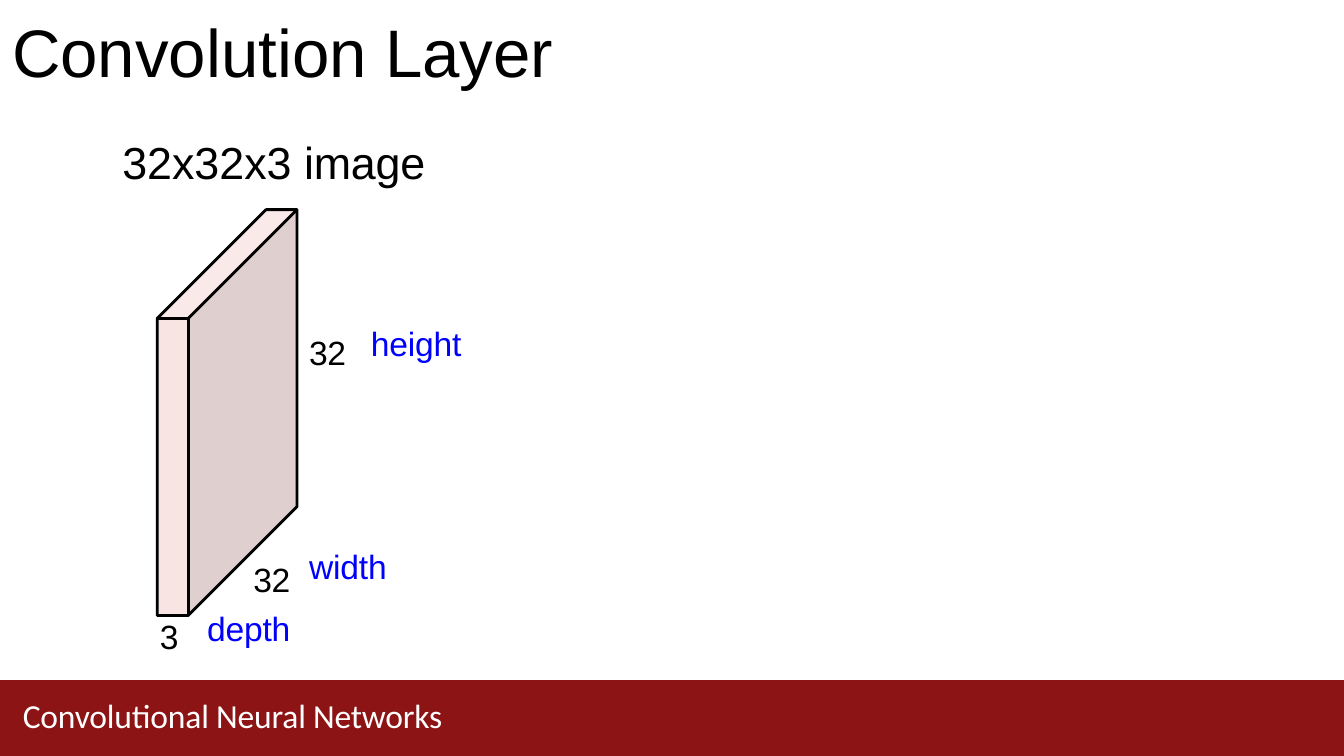
import pptx
import pptx.util
import pptx.dml.color
import pptx.enum.text
import pptx.oxml
import pptx.oxml.ns
from pptx.util import Inches

ALIGN = pptx.enum.text.PP_ALIGN
BLACK, BLUE, WHITE = "000000", "0000FF", "FFFFFF"
WIDTH = 10
HEIGHT = WIDTH * 9 / 16


def color(code):
    return pptx.dml.color.RGBColor.from_string(code)


def trace(shapes, paths):
    def scale(path):
        return [(Inches(x), Inches(y)) for x, y in path]

    first, *rest = map(scale, paths)
    pen = shapes.build_freeform(*first[0], scale=1.0)
    pen.add_line_segments(first[1:], close=True)
    for path in rest:
        pen.move_to(*path[0])
        pen.add_line_segments(path[1:], close=False)
    shape = pen.convert_to_shape()
    shape.shadow.inherit = False
    return shape


def add_face(shapes, points, fill, alpha=None):
    face = trace(shapes, [points])
    face.fill.solid()
    face.fill.fore_color.rgb = color(fill)
    face.line.fill.background()
    if alpha:
        tag = face.fill._xPr.find(".//" + pptx.oxml.ns.qn("a:srgbClr"))
        tag.append(pptx.oxml.parse_xml(
            f'<a:alpha {pptx.oxml.ns.nsdecls("a")} val="{alpha * 1000}"/>'))


def add_edges(shapes, paths):
    edges = trace(shapes, paths)
    edges.fill.background()
    edges.line.color.rgb = color(BLACK)
    edges.line.width = pptx.util.Pt(1.5)


def add_block(slide):
    left, right, top, bottom = 1.17, 1.4, 2.37, 4.58
    shift = 0.81
    low_left, low_right = (left, bottom), (right, bottom)
    top_left, top_right = (left, top), (right, top)
    back_left = (left + shift, top - shift)
    back_right = (right + shift, top - shift)
    back_low = (right + shift, bottom - shift)

    shapes = slide.shapes.add_group_shape().shapes
    add_face(shapes, [low_right, low_left, top_left, top_right], "F4CCCC", 52)
    add_face(shapes, [low_right, top_right, back_right, back_low], "C3A3A3", 52)
    add_face(shapes, [top_right, top_left, back_left, back_right], "F6D6D6", 52)
    add_edges(shapes, [
        [top_left, back_left, back_right, back_low, low_right, low_left],
        [top_left, top_right, back_right],
        [top_right, low_right],
    ])


def set_frame(shape, inset):
    frame = shape.text_frame
    frame.word_wrap = True
    frame.vertical_anchor = pptx.enum.text.MSO_ANCHOR.TOP
    frame.margin_left = frame.margin_right = frame.margin_bottom = 0
    frame.margin_top = Inches(inset)
    return frame


def indent(para):
    para._p.get_or_add_pPr().set("marL", str(Inches(0.01)))


def add_run(para, text, size, code, gap=-0.1, font="Arial"):
    run = para.add_run()
    run.text = text
    run.font.size = pptx.util.Pt(size)
    run.font.name = font
    run.font.color.rgb = color(code)
    if gap:
        run._r.get_or_add_rPr().set("spc", str(round(gap * 100)))


def add_title(slide, start, end):
    title = slide.shapes.title
    title.left, title.top = Inches(0.08), Inches(0.06)
    title.width, title.height = Inches(4.06), Inches(0.63)
    para = set_frame(title, 0.02).paragraphs[0]
    indent(para)
    para.alignment = ALIGN.LEFT
    add_run(para, start, 36, BLACK, 0)
    add_run(para, end, 36, BLACK)


def add_box(slide, box, inset=0.01):
    return set_frame(slide.shapes.add_textbox(*map(Inches, box)), inset)


def add_label(slide, box, text, code=BLACK, gap=-0.1):
    para = add_box(slide, box).paragraphs[0]
    indent(para)
    add_run(para, text, 18, code, gap)


def add_labels(slide):
    add_label(slide, (2.29, 2.46, 0.31, 0.33), "32", gap=-0.2)
    add_label(slide, (1.18, 4.57, 0.17, 0.33), "3", gap=-0.5)
    frame = add_box(slide, (1.51, 4.08, 0.65, 0.76), 0.08)
    side, depth = frame.paragraphs[0], frame.add_paragraph()
    side.alignment = depth.alignment = ALIGN.RIGHT
    depth.space_before = pptx.util.Pt(4.8)
    add_run(side, "32", 18, BLACK, -0.2)
    add_run(depth, "depth", 18, BLUE)

    head = add_box(slide, (0.9, 0.99, 2.29, 0.43)).paragraphs[0]
    indent(head)
    add_run(head, "32x32x3 ", 24, BLACK, 0)
    add_run(head, "image", 24, BLACK)
    add_label(slide, (2.29, 4.05, 0.61, 0.33), "width", BLUE)
    add_label(slide, (2.75, 2.39, 0.71, 0.33), "height", BLUE)


def add_band(slide):
    add_face(slide.shapes, [(WIDTH, 5.06), (0, 5.06), (0, HEIGHT),
                            (WIDTH, HEIGHT)], "8C1414")


def add_footer(slide, text):
    para = add_box(slide, (0.16, 5.18, 5.14, 0.29), 0).paragraphs[0]
    indent(para)
    para.line_spacing = pptx.util.Pt(20.9)
    add_run(para, text, 18, WHITE, font="Calibri")


def main():
    deck = pptx.Presentation()
    deck.slide_width, deck.slide_height = Inches(WIDTH), Inches(HEIGHT)
    slide = deck.slides.add_slide(deck.slide_layouts[5])
    add_band(slide)
    add_block(slide)
    add_title(slide, "Convolution ", "Layer")
    add_labels(slide)
    add_footer(slide, "Convolutional Neural Networks")
    deck.save("out.pptx")


if __name__ == "__main__":
    main()
